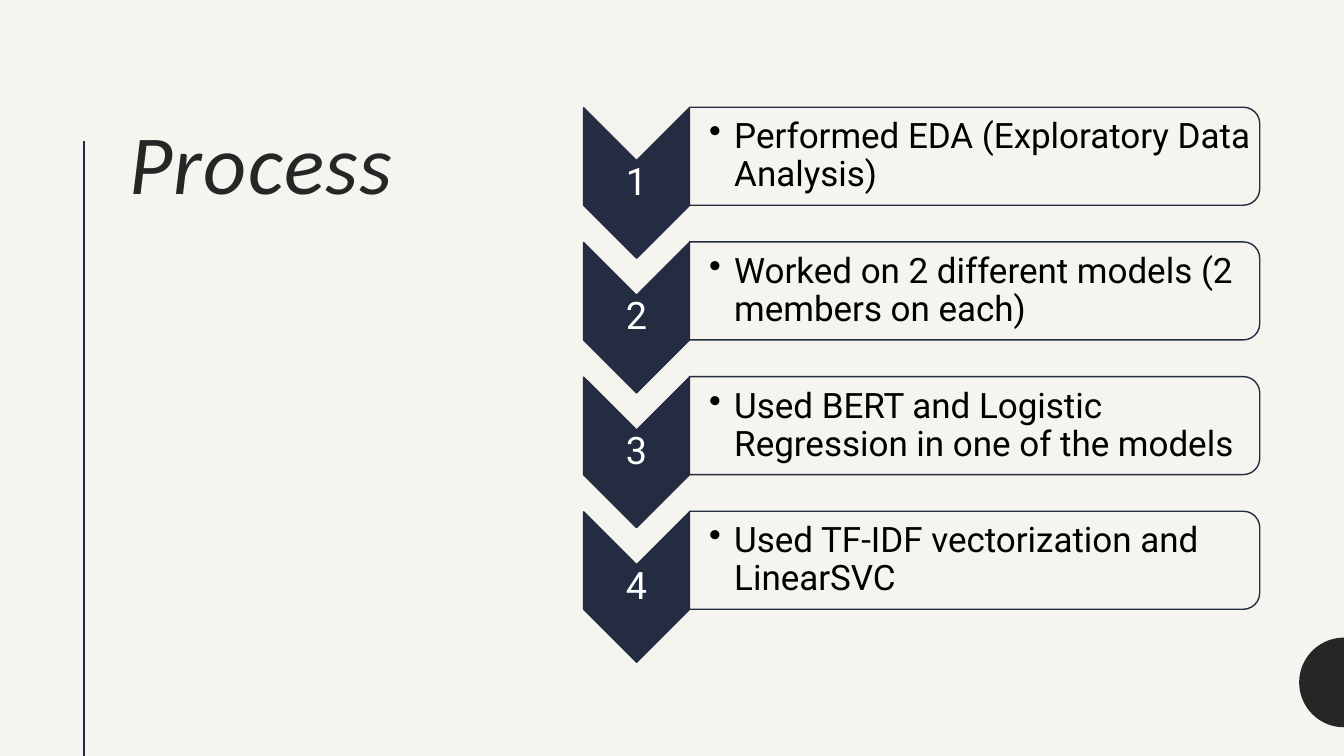
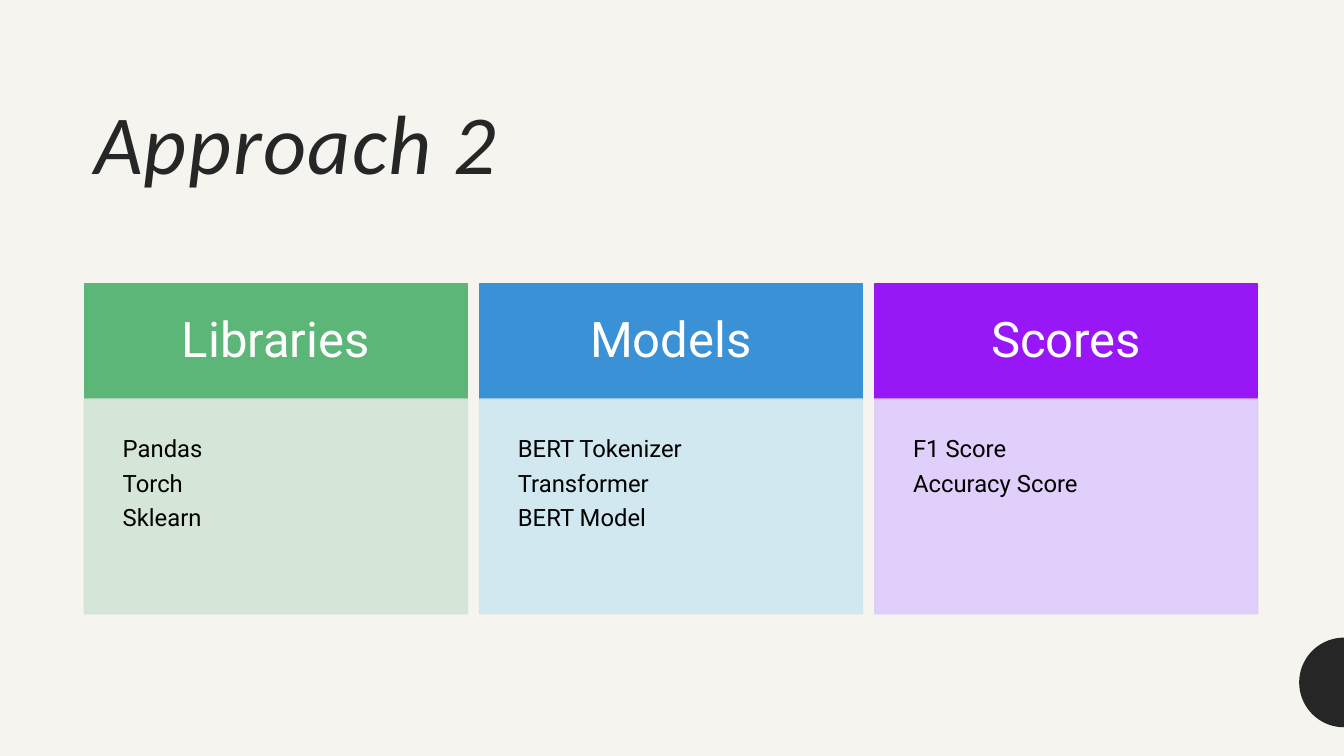
from dataclasses import dataclass
from math import cos, pi, sin
from typing import NamedTuple

from lxml.etree import SubElement
from pptx import Presentation
from pptx.dml.color import RGBColor
from pptx.enum.shapes import MSO_CONNECTOR, MSO_SHAPE
from pptx.enum.text import MSO_ANCHOR, MSO_AUTO_SIZE, PP_ALIGN
from pptx.oxml.ns import qn
from pptx.presentation import Presentation as Deck
from pptx.shapes.autoshape import Shape
from pptx.slide import Slide
from pptx.text.text import TextFrame
from pptx.util import Pt

COLORS = {
    "background": "F6F4EF",
    "ink": "262626",
    "navy": "232C41",
    "black": "000000",
    "white": "FFFFFF",
    "green": "5CB678",
    "pale green": "D2E5D6",
    "blue": "3A91D6",
    "pale blue": "CEE7F2",
    "purple": "9717F7",
    "pale purple": "DDCCFC",
}
TITLE_FONT = "Calibri"
BODY_FONT = "Roboto"
SLIDE_WIDTH, SLIDE_HEIGHT = 960, 540
TITLE_ONLY_LAYOUT = 5


class Box(NamedTuple):
    """Left, top, width and height in points."""
    left: float
    top: float
    width: float
    height: float

    def lengths(self) -> list[Pt]:
        return [Pt(value) for value in self]


@dataclass(frozen=True)
class TextStyle:
    size: float
    color: str
    font: str = BODY_FONT
    italic: bool = False
    align: PP_ALIGN = PP_ALIGN.LEFT
    anchor: MSO_ANCHOR = MSO_ANCHOR.MIDDLE
    margins: tuple[float, float, float, float] = (7.2, 3.6, 7.2, 3.6)
    space_after: float = 0


@dataclass(frozen=True)
class Column:
    heading: str
    items: tuple[str, ...]
    color: str


TITLE = TextStyle(60, "ink", TITLE_FONT, italic=True)
STEP_NUMBER = TextStyle(27, "white", align=PP_ALIGN.CENTER, margins=(1.4,) * 4)
STEP_TEXT = TextStyle(25, "black", margins=(14, 1.4, 1.4, 1.4))
HEADING = TextStyle(35, "white", align=PP_ALIGN.CENTER, margins=(21.6,) * 4)
ITEMS = TextStyle(17, "black", anchor=MSO_ANCHOR.TOP, margins=(27.4,) * 4, space_after=6.3)

STEPS = (
    "Performed EDA (Exploratory Data Analysis)",
    "Worked on 2 different models (2 members on each)",
    "Used BERT and Logistic Regression in one of the models",
    "Used TF-IDF vectorization and LinearSVC",
)
COLUMNS = (
    Column("Libraries", ("Pandas", "Torch", "Sklearn"), "green"),
    Column("Models", ("BERT Tokenizer", "Transformer", "BERT Model"), "blue"),
    Column("Scores", ("F1 Score", "Accuracy Score"), "purple"),
)


def rgb(name: str) -> RGBColor:
    return RGBColor.from_string(COLORS[name])


def write_text(text_frame: TextFrame, text: str, style: TextStyle) -> None:
    text_frame.text = text
    text_frame.word_wrap = True
    text_frame.auto_size = MSO_AUTO_SIZE.NONE
    text_frame.vertical_anchor = style.anchor
    (text_frame.margin_left, text_frame.margin_top,
     text_frame.margin_right, text_frame.margin_bottom) = map(Pt, style.margins)
    for paragraph in text_frame.paragraphs:
        paragraph.alignment = style.align
        paragraph.line_spacing = 0.9
        paragraph.space_after = Pt(style.space_after)
        for run in paragraph.runs:
            run.font.name = style.font
            run.font.size = Pt(style.size)
            run.font.italic = style.italic
            run.font.color.rgb = rgb(style.color)


def paint(shape: Shape, fill: str, line: str | None = None, opacity: int = 100) -> None:
    shape.shadow.inherit = False
    shape.fill.solid()
    shape.fill.fore_color.rgb = rgb(fill)
    if line is None:
        shape.line.fill.background()
    else:
        shape.line.color.rgb = rgb(line)
        shape.line.width = Pt(1)
    if opacity < 100:
        for color in shape._element.spPr.iter(qn("a:srgbClr")):
            SubElement(color, qn("a:alpha"), val=str(opacity * 1000))


def add_text_box(slide: Slide, box: Box, text: str, style: TextStyle) -> Shape:
    text_box = slide.shapes.add_textbox(*box.lengths())
    write_text(text_box.text_frame, text, style)
    return text_box


def add_turned_shape(slide: Slide, kind: MSO_SHAPE, box: Box) -> Shape:
    """Add a shape turned a quarter clockwise that then covers the box."""
    left = box.left + (box.width - box.height) / 2
    top = box.top + (box.height - box.width) / 2
    unturned = Box(left, top, box.height, box.width)
    shape = slide.shapes.add_shape(kind, *unturned.lengths())
    shape.rotation = 90
    return shape


def add_bullet(shape: Shape) -> None:
    properties = shape.text_frame.paragraphs[0]._p.get_or_add_pPr()
    properties.set("marL", str(Pt(18)))
    properties.set("indent", str(-Pt(18)))
    SubElement(properties, qn("a:buChar"), char="•")


def add_half_disc(slide: Slide) -> None:
    center_y, radius, segments = 487.5, 32, 48
    angles = [pi * index / segments for index in range(segments + 1)]
    points = [(Pt(SLIDE_WIDTH - radius * sin(angle)), Pt(center_y - radius * cos(angle)))
              for angle in angles]
    builder = slide.shapes.build_freeform(*points[0])
    builder.add_line_segments(points[1:], close=True)
    paint(builder.convert_to_shape(), "ink")


def add_titled_slide(presentation: Deck, title: str, box: Box, anchor: MSO_ANCHOR) -> Slide:
    slide = presentation.slides.add_slide(presentation.slide_layouts[TITLE_ONLY_LAYOUT])
    shape = slide.shapes.title
    shape.left, shape.top, shape.width, shape.height = box.lengths()
    write_text(shape.text_frame, title, TITLE)
    shape.text_frame.vertical_anchor = anchor
    shape.text_frame.paragraphs[0].runs[0].font._element.set("spc", "100")
    add_half_disc(slide)
    return slide


def add_rule(slide: Slide, left: float, top: float) -> None:
    rule = slide.shapes.add_connector(
        MSO_CONNECTOR.STRAIGHT, Pt(left), Pt(top), Pt(left), Pt(SLIDE_HEIGHT))
    rule.line.color.rgb = rgb("navy")
    rule.line.width = Pt(1.5)
    SubElement(rule._element.spPr, qn("a:effectLst"))


def add_step(slide: Slide, number: int, text: str) -> None:
    left, chevron_width, panel_width = 416.9, 75.6, 407.3
    top = 77 + 96.2 * (number - 1)
    panel_left = left + chevron_width
    chevron = add_turned_shape(
        slide, MSO_SHAPE.CHEVRON, Box(left, top, chevron_width, 107.5))
    paint(chevron, "navy", "navy")
    add_text_box(slide, Box(left, top + 37.5, chevron_width, 32.4), str(number), STEP_NUMBER)
    panel = add_turned_shape(
        slide, MSO_SHAPE.ROUND_2_SAME_RECTANGLE, Box(panel_left, top - 0.4, panel_width, 70))
    paint(panel, "background", "navy")
    label = add_text_box(slide, Box(panel_left, top + 3, 404, 63.4), text, STEP_TEXT)
    add_bullet(label)


def add_column(slide: Slide, index: int, column: Column) -> None:
    width, gap, top, heading_height = 273.6, 8.65, 203, 82
    left = 60.3 + index * (width + gap)
    heading = slide.shapes.add_shape(
        MSO_SHAPE.RECTANGLE, *Box(left, top, width, heading_height).lengths())
    paint(heading, column.color, column.color)
    write_text(heading.text_frame, column.heading, HEADING)
    panel = slide.shapes.add_shape(
        MSO_SHAPE.RECTANGLE, *Box(left, top + heading_height, width, 153.4).lengths())
    pale = f"pale {column.color}"
    paint(panel, pale, pale, opacity=90)
    write_text(panel.text_frame, "\n".join(column.items), ITEMS)


def build_process_slide(presentation: Deck) -> None:
    slide = add_titled_slide(
        presentation, "Process", Box(85, 83.5, 281.5, 378.7), MSO_ANCHOR.TOP)
    add_rule(slide, 60, 100.8)
    for number, text in enumerate(STEPS, start=1):
        add_step(slide, number, text)


def build_approach_slide(presentation: Deck) -> None:
    slide = add_titled_slide(
        presentation, "Approach 2", Box(60, 33, 840, 108), MSO_ANCHOR.BOTTOM)
    for index, column in enumerate(COLUMNS):
        add_column(slide, index, column)


def main() -> None:
    presentation = Presentation()
    presentation.slide_width = Pt(SLIDE_WIDTH)
    presentation.slide_height = Pt(SLIDE_HEIGHT)
    background = presentation.slide_master.background.fill
    background.solid()
    background.fore_color.rgb = rgb("background")
    build_process_slide(presentation)
    build_approach_slide(presentation)
    presentation.save("out.pptx")


if __name__ == "__main__":
    main()
